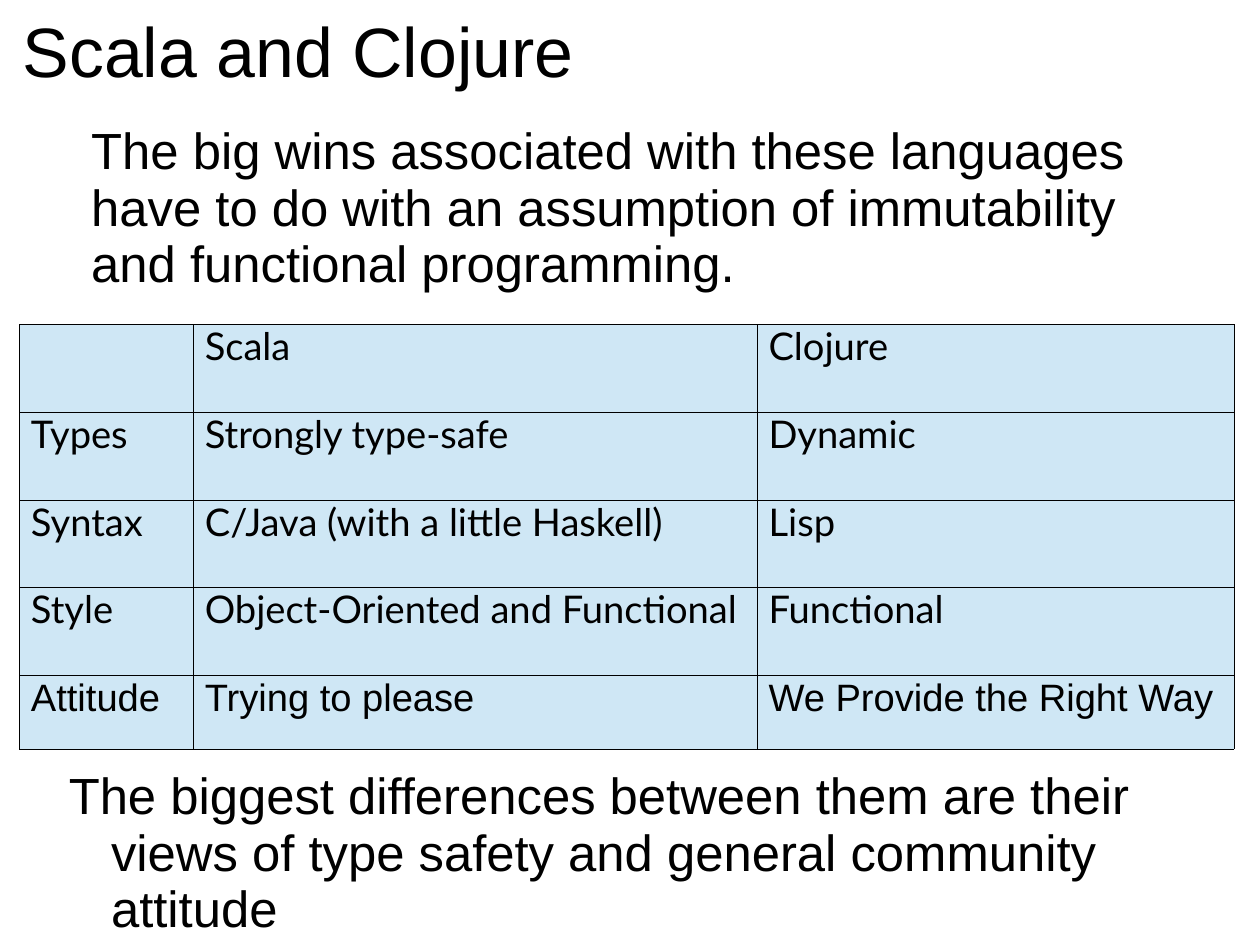
from lxml.etree import SubElement
from pptx import Presentation
from pptx.dml.color import RGBColor
from pptx.enum.text import MSO_ANCHOR, MSO_AUTO_SIZE, PP_ALIGN
from pptx.oxml.ns import qn
from pptx.util import Cm, Inches, Pt

BLACK = RGBColor(0x00, 0x00, 0x00)
PALE_BLUE = RGBColor(0xCF, 0xE7, 0xF5)
GRID = 100
HEADING_FONT = "Arial"
TABLE_FONT = "Lato"


def write(frame, text, size=32, font=HEADING_FONT, color=BLACK, spacing=0.93,
          anchor=MSO_ANCHOR.TOP, insets=(0.1, 0.05, 0.1, 0.05), hanging=0):
    frame.word_wrap = True
    frame.auto_size = MSO_AUTO_SIZE.NONE
    frame.vertical_anchor = anchor
    (frame.margin_left, frame.margin_top,
     frame.margin_right, frame.margin_bottom) = map(Inches, insets)
    style_paragraph(frame.paragraphs[0], text, size, font, color, spacing, hanging)


def style_paragraph(paragraph, text, size, font, color, spacing, hanging=0):
    paragraph.text = text
    paragraph.alignment = PP_ALIGN.LEFT
    paragraph.line_spacing = spacing
    if hanging:
        properties = paragraph._p.get_or_add_pPr()
        properties.set("marL", str(Inches(hanging)))
        properties.set("indent", str(-Inches(hanging)))
    paragraph.font.size = Pt(size)
    paragraph.font.name = font
    paragraph.font.bold = False
    paragraph.font.color.rgb = color


class Deck:
    def __init__(self, presentation):
        self.column = presentation.slide_width / GRID
        self.row = presentation.slide_height / GRID
        self.slide = presentation.slides.add_slide(presentation.slide_layouts[5])

    def place(self, left, top, width, height):
        return (round(left * self.column), round(top * self.row),
                round(width * self.column), round(height * self.row))

    def title(self, text, area, **style):
        heading = self.slide.shapes.title
        heading.left, heading.top, heading.width, heading.height = self.place(*area)
        write(heading.text_frame, text, **style)

    def text(self, text, area, **style):
        box = self.slide.shapes.add_textbox(*self.place(*area))
        write(box.text_frame, text, **style)

    def table(self, rows, left, top, widths, heights):
        area = self.place(left, top, sum(widths), sum(heights))
        table = self.slide.shapes.add_table(len(rows), len(widths), *area).table
        table.first_row = table.horz_banding = False
        for column, width in zip(table.columns, widths):
            column.width = round(width * self.column)
        for row, height, labels in zip(table.rows, heights, rows):
            row.height = round(height * self.row)
            last = labels is rows[-1]
            for cell, label in zip(row.cells, labels):
                self.cell(cell, label, HEADING_FONT if last else TABLE_FONT,
                          0.89 if last else 0.84)

    def cell(self, cell, label, font, spacing):
        cell.margin_left = cell.margin_right = Inches(0.1)
        cell.margin_top = cell.margin_bottom = Inches(0.05)
        cell.vertical_anchor = MSO_ANCHOR.TOP
        style_paragraph(cell.text_frame.paragraphs[0], label, 24, font, BLACK, spacing)
        properties = cell._tc.get_or_add_tcPr()
        for side in ("a:lnL", "a:lnR", "a:lnT", "a:lnB"):
            border = SubElement(properties, qn(side), w=str(Pt(0.06)))
            fill = SubElement(border, qn("a:solidFill"))
            SubElement(fill, qn("a:srgbClr"), val=str(BLACK))
        cell.fill.solid()
        cell.fill.fore_color.rgb = PALE_BLUE


def main():
    presentation = Presentation()
    presentation.slide_width = Cm(28)
    presentation.slide_height = Cm(21)
    deck = Deck(presentation)
    deck.title("Scala and Clojure", (1.8, 0, 98.2, 10.88), size=44,
               anchor=MSO_ANCHOR.MIDDLE, insets=(0, 0.04, 0, 0))
    deck.text("The biggest differences between them are their views of type safety "
              "and general community attitude", (5.46, 81.12, 88, 18.14),
              anchor=MSO_ANCHOR.MIDDLE, insets=(0, 0.03, 0, 0), hanging=0.37)
    comparison = [
        ("", "Scala", "Clojure"),
        ("Types", "Strongly type-safe", "Dynamic"),
        ("Syntax", "C/Java (with a little Haskell)", "Lisp"),
        ("Style", "Object-Oriented and Functional", "Functional"),
        ("Attitude", "Trying to please", "We Provide the Right Way"),
    ]
    deck.table(comparison, 1.55, 34.3, (13.8, 44.74, 37.84), [9.29] * 4 + [7.86])
    deck.text("The big wins associated with these languages have to do with an "
              "assumption of immutability and functional programming.",
              (6.35, 12.18, 84.38, 19.23), insets=(0.1, 0.08, 0.1, 0.05))
    presentation.save("out.pptx")


if __name__ == "__main__":
    main()
